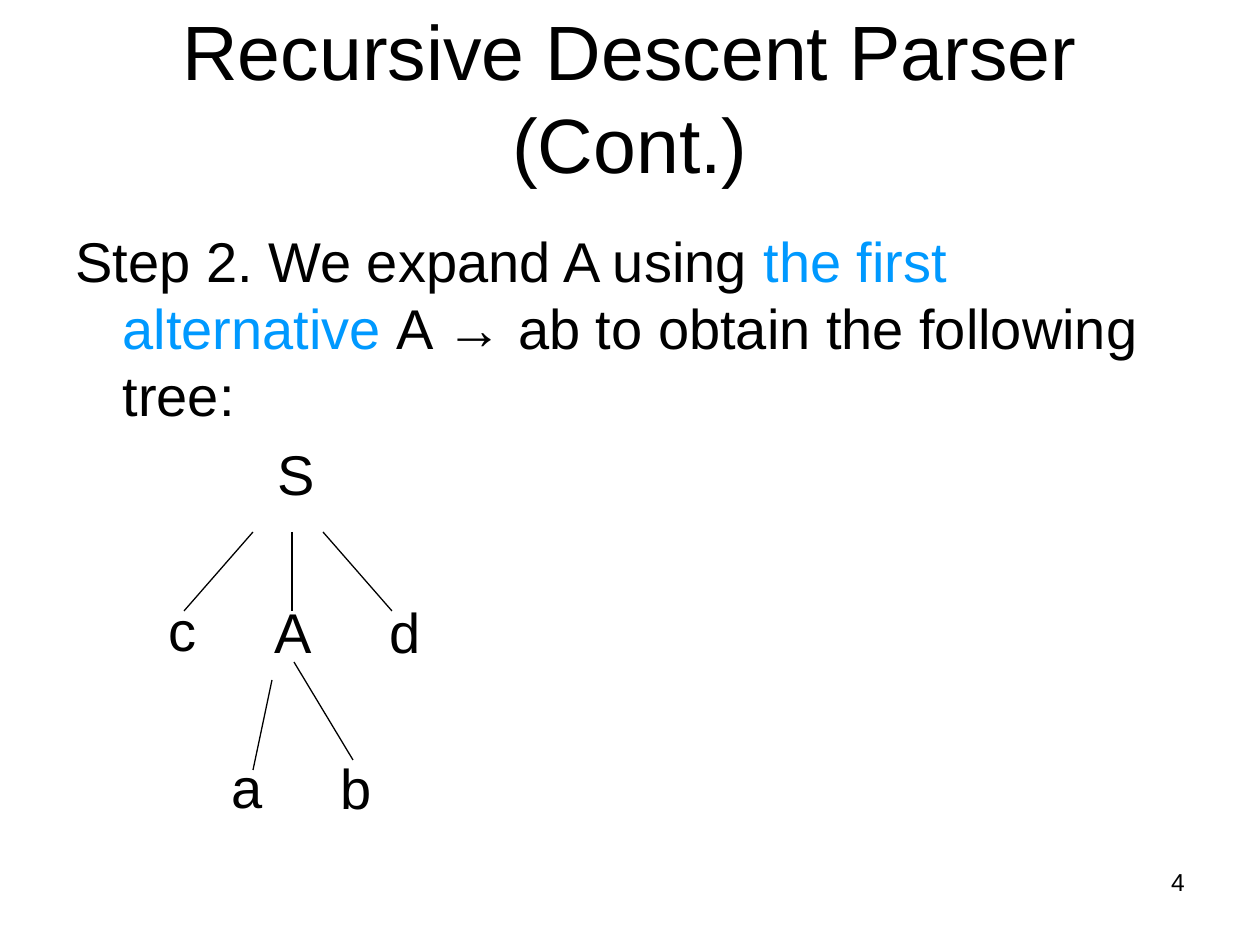
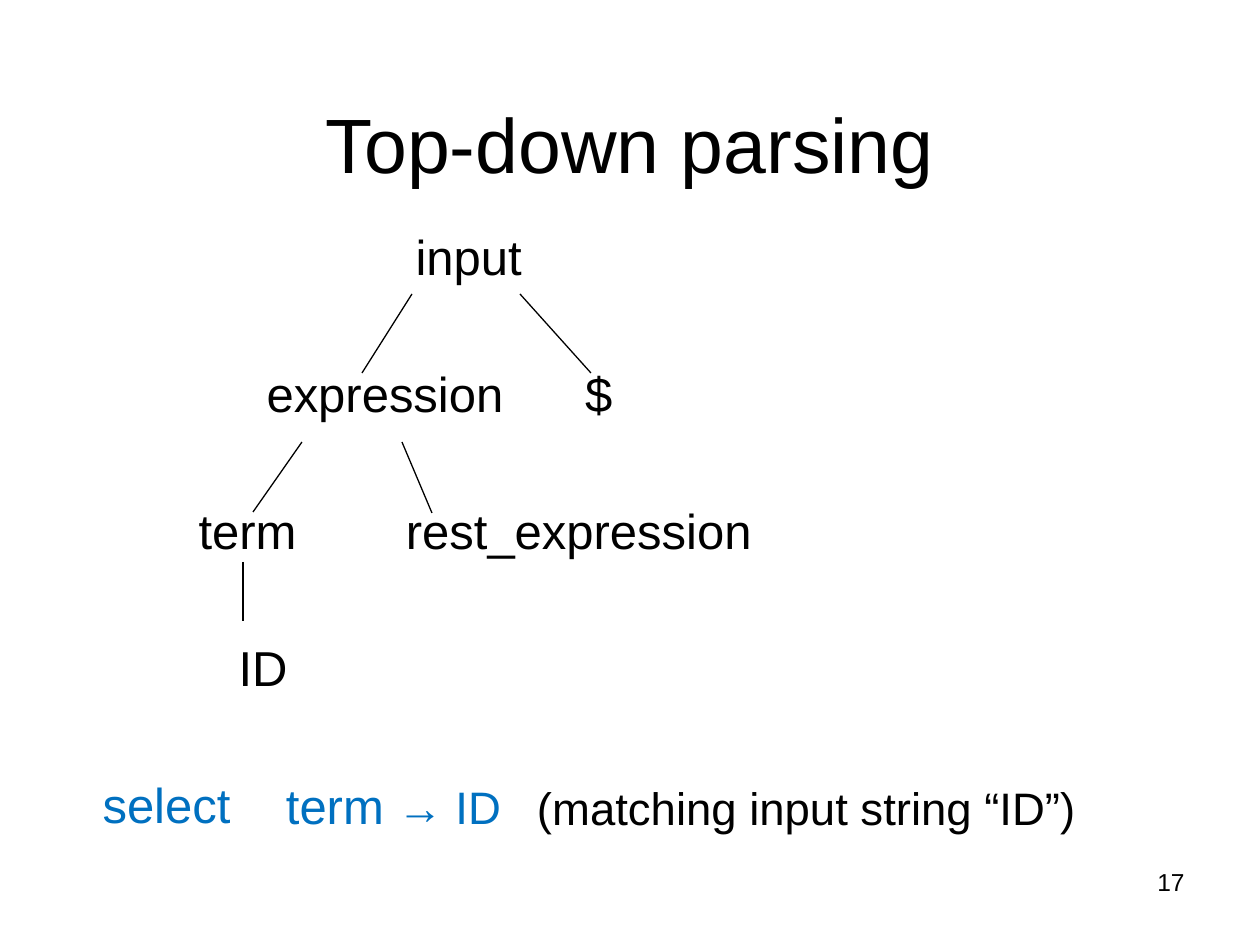
from lxml.etree import SubElement
from pptx import Presentation
from pptx.dml.color import RGBColor
from pptx.enum.shapes import MSO_CONNECTOR
from pptx.enum.text import MSO_ANCHOR, MSO_AUTO_SIZE, PP_ALIGN
from pptx.oxml.ns import qn
from pptx.util import Pt

FONT = "Arial"
BLACK = "000000"
SKY = "0099FF"
BLUE = "0070C0"
LINE_HEIGHT = 1.2
PX_PER_POINT = 1.75
TITLE_SIZE = 44
TEXT_LEFT = 76
TEXT_TOP = 227
HANGING = 47
INTRO_LINES = 3


def px(length):
    return round(length * 914400 / 126)


def add_run(paragraph, text, size, color=BLACK):
    run = paragraph.add_run()
    run.text = text
    run.font.name = FONT
    run.font.size = Pt(size)
    run.font.color.rgb = RGBColor.from_string(color)


pages = [
    {
        "title": "Recursive Descent Parser (Cont.)",
        "number": "4",
        "size": 32,
        "intro": [
            ("Step 2. We expand A using ", 32, BLACK),
            ("the first alternative ", 32, SKY),
            ("A → ab to obtain the following tree:", 32, BLACK),
        ],
        "rows": [
            [(202, [("S", 32, BLACK)])],
            [(93, [("c", 32, BLACK)]), (199, [("A", 32, BLACK)]), (314, [("d", 32, BLACK)])],
            [(156, [("a", 32, BLACK)]), (265, [("b", 32, BLACK)])],
        ],
        "branches": [
            (253, 532, 184, 611),
            (292, 532, 292, 611),
            (323, 532, 392, 611),
            (272, 680, 253, 770),
            (294, 662, 353, 760),
        ],
    },
    {
        "title": "Top-down parsing",
        "number": "17",
        "size": 28,
        "intro": [],
        "rows": [
            [(340, [("input", 28, BLACK)])],
            [(191, [("expression", 28, BLACK)]), (509, [("$", 28, BLACK)])],
            [(123, [("term", 28, BLACK)]), (330, [("rest_expression", 28, BLACK)])],
            [(163, [("ID", 28, BLACK)])],
            [
                (27, [("select", 28, BLUE)]),
                (210, [("term ", 28, BLUE), ("→ ID", 26, BLUE)]),
                (461, [("(matching input string “ID”)", 26, BLACK)]),
            ],
        ],
        "branches": [
            (412, 294, 362, 373),
            (520, 294, 591, 373),
            (302, 442, 253, 512),
            (402, 442, 432, 513),
            (243, 562, 243, 621),
        ],
    },
]

presentation = Presentation()
presentation.slide_width = px(1260)
presentation.slide_height = px(945)

for page in pages:
    slide = presentation.slides.add_slide(presentation.slide_layouts[1])
    size = page["size"]
    line = size * LINE_HEIGHT
    gap = size * 0.2

    title = slide.shapes.title
    title.left, title.top, title.width, title.height = px(63), px(38), px(1134), px(157)
    title.text_frame.auto_size = MSO_AUTO_SIZE.NONE
    title.text_frame.vertical_anchor = MSO_ANCHOR.BOTTOM
    paragraph = title.text_frame.paragraphs[0]
    paragraph.alignment = PP_ALIGN.CENTER
    paragraph.line_spacing = Pt(TITLE_SIZE * LINE_HEIGHT)
    add_run(paragraph, page["title"], TITLE_SIZE)

    body = slide.placeholders[1]
    body.left, body.top, body.width, body.height = px(63), px(220), px(1134), px(624)
    body.text_frame.auto_size = MSO_AUTO_SIZE.NONE

    entries = [(margin, 0, runs) for (margin, runs), *siblings in page["rows"]]
    tree_top = TEXT_TOP
    if page["intro"]:
        entries.insert(0, (HANGING, -HANGING, page["intro"]))
        tree_top += (INTRO_LINES * line + gap) * PX_PER_POINT
    root_index = len(entries) - len(page["rows"])

    for index, (margin, indent, runs) in enumerate(entries):
        paragraph = body.text_frame.paragraphs[0] if index == 0 else body.text_frame.add_paragraph()
        paragraph.line_spacing = Pt(line)
        if index == 0:
            paragraph.space_before = Pt(0)
        elif index == root_index:
            paragraph.space_before = Pt(gap)
        else:
            paragraph.space_before = Pt(line + 2 * gap)
        properties = paragraph._p.get_or_add_pPr()
        properties.set("marL", str(px(margin)))
        properties.set("indent", str(px(indent)))
        SubElement(properties, qn("a:buNone"))
        for text, run_size, color in runs:
            add_run(paragraph, text, run_size, color)

    for level, (first, *siblings) in enumerate(page["rows"]):
        row_top = round(tree_top + level * 2 * (line + gap) * PX_PER_POINT)
        for offset, runs in siblings:
            length = sum(len(text) for text, run_size, color in runs)
            label = slide.shapes.add_textbox(
                px(TEXT_LEFT + offset), px(row_top), px((length + 1) * size), px(round(line * PX_PER_POINT))
            )
            text_frame = label.text_frame
            text_frame.word_wrap = True
            text_frame.margin_left = text_frame.margin_right = 0
            text_frame.margin_top = text_frame.margin_bottom = 0
            paragraph = text_frame.paragraphs[0]
            paragraph.line_spacing = Pt(line)
            for text, run_size, color in runs:
                add_run(paragraph, text, run_size, color)

    for x1, y1, x2, y2 in page["branches"]:
        branch = slide.shapes.add_connector(
            MSO_CONNECTOR.STRAIGHT, px(x1), px(y1), px(x2), px(y2)
        )
        branch.line.color.rgb = RGBColor.from_string(BLACK)
        branch.line.width = Pt(0.75)
        SubElement(branch._element.spPr, qn("a:effectLst"))

    number_box = slide.shapes.add_textbox(px(903), px(861), px(294), px(65))
    number_box.text_frame.word_wrap = True
    paragraph = number_box.text_frame.paragraphs[0]
    paragraph.alignment = PP_ALIGN.RIGHT
    add_run(paragraph, page["number"], 14)

presentation.save("out.pptx")
